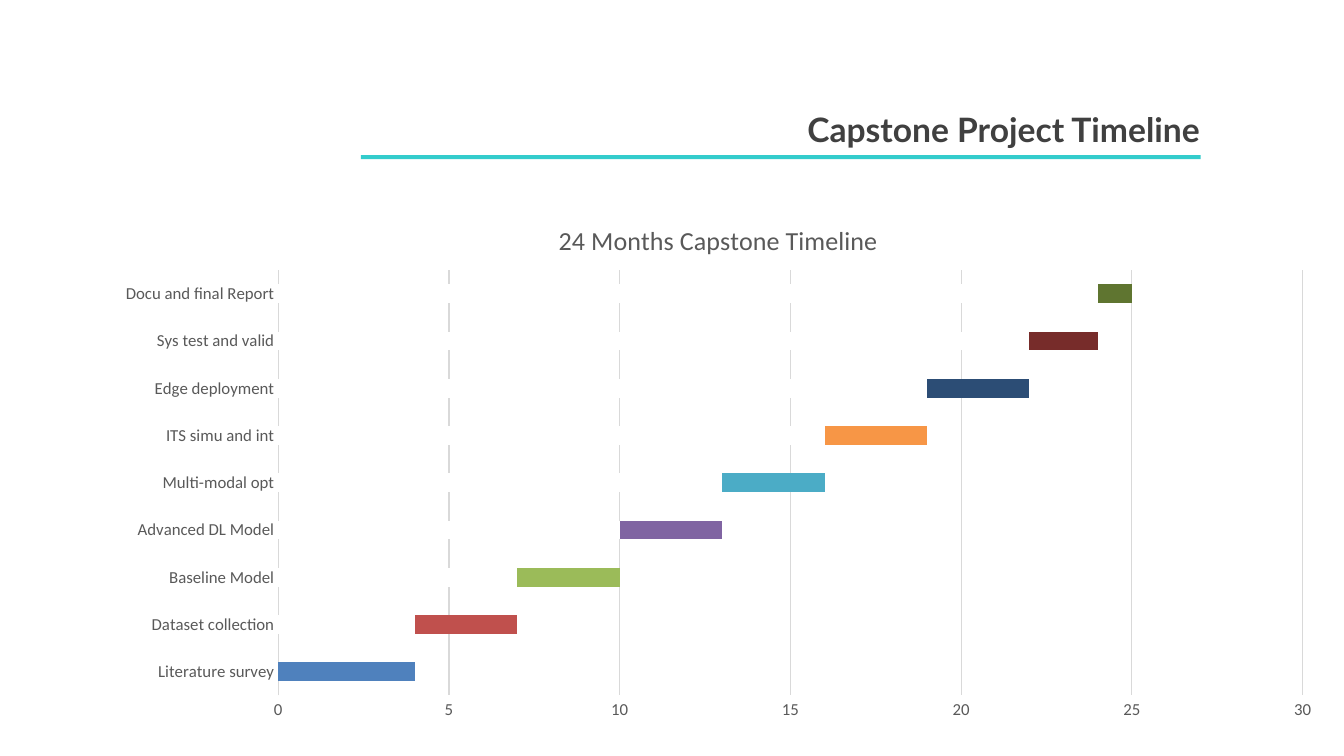
from lxml.etree import SubElement
from pptx import Presentation
from pptx.chart.data import CategoryChartData
from pptx.dml.color import RGBColor
from pptx.enum.chart import XL_CHART_TYPE, XL_TICK_MARK
from pptx.enum.shapes import MSO_SHAPE
from pptx.enum.text import MSO_ANCHOR, MSO_AUTO_SIZE, PP_ALIGN
from pptx.oxml.ns import qn
from pptx.util import Inches, Pt

WHITE = RGBColor(0xFF, 0xFF, 0xFF)
DARK = RGBColor(0x40, 0x40, 0x40)
GREY = RGBColor(0x59, 0x59, 0x59)
PALE = RGBColor(0xD9, 0xD9, 0xD9)
TEAL = RGBColor(0x33, 0xCC, 0xCC)
PLUM = RGBColor(0x4D, 0x3B, 0x62)

# Each task: name, length in months, bar colour
TASKS = [
    ("Literature survey", 4, RGBColor(0x4F, 0x81, 0xBD)),
    ("Dataset collection", 3, RGBColor(0xC0, 0x50, 0x4D)),
    ("Baseline Model", 3, RGBColor(0x9B, 0xBB, 0x59)),
    ("Advanced DL Model", 3, RGBColor(0x80, 0x64, 0xA2)),
    ("Multi-modal opt", 3, RGBColor(0x4B, 0xAC, 0xC6)),
    ("ITS simu and int", 3, RGBColor(0xF7, 0x96, 0x46)),
    ("Edge deployment", 3, RGBColor(0x2C, 0x4D, 0x75)),
    ("Sys test and valid", 2, RGBColor(0x77, 0x2C, 0x2A)),
    ("Docu and final Report", 1, RGBColor(0x5F, 0x75, 0x30)),
]


class Deck:
    head_font = "Lato"
    font = "Calibri"

    def __init__(self):
        self.file = Presentation()
        self.file.slide_width = Inches(13.33)
        self.file.slide_height = Inches(7.5)
        self.slide = self.file.slides.add_slide(self.file.slide_layouts[5])

    def style(self, font, name, size, color, bold=False):
        font.name, font.size, font.bold = name, Pt(size), bold
        font.color.rgb = color

    def title(self, text, x, y, w, h):
        box = self.slide.shapes.title
        box.left, box.top = Inches(x), Inches(y)
        box.width, box.height = Inches(w), Inches(h)
        frame = box.text_frame
        frame.auto_size = MSO_AUTO_SIZE.NONE
        frame.word_wrap = True
        frame.vertical_anchor = MSO_ANCHOR.MIDDLE
        line = frame.paragraphs[0]
        line.alignment = PP_ALIGN.RIGHT
        run = line.add_run()
        run.text = text
        self.style(run.font, self.head_font, 24, DARK, True)

    def bar(self, x, y, w, h, color):
        rule = self.slide.shapes.add_shape(
            MSO_SHAPE.RECTANGLE, Inches(x), Inches(y), Inches(w), Inches(h))
        rule.shadow.inherit = False
        rule.fill.solid()
        rule.fill.fore_color.rgb = color
        rule.line.fill.background()

    def gantt(self, text, tasks, x, y, w, h):
        # A task's length is stacked in its own row and in every later row
        count = len(tasks)
        data = CategoryChartData()
        data.categories = [name for name, _, _ in tasks]
        for i, (_, span, _) in enumerate(tasks):
            vals = [span if row >= i else 0 for row in range(count)]
            data.add_series(f"Series {i + 1}", vals)
        # The last series is a spare one without values
        data.add_series(f"Series {count + 1}", [None] * count)
        chart = self.slide.shapes.add_chart(
            XL_CHART_TYPE.BAR_STACKED, Inches(x), Inches(y),
            Inches(w), Inches(h), data).chart
        chart.has_legend = False
        self.style(chart.font, self.font, 12, GREY)

        # Chart title
        chart.has_title = True
        run = chart.chart_title.text_frame.paragraphs[0].add_run()
        run.text = text
        self.style(run.font, self.font, 18.6, GREY)
        chart.chart_title.include_in_layout = False

        # Bars: later rows are white, so only the task itself shows
        plot = chart.plots[0]
        plot.gap_width, plot.overlap = 150, 100
        plot.vary_by_categories = False
        hues = [hue for _, _, hue in tasks] + [PLUM]
        for i, (series, hue) in enumerate(zip(plot.series, hues)):
            series.format.fill.solid()
            series.format.fill.fore_color.rgb = hue
            series.invert_if_negative = False
            for row in range(i + 1, count):
                fill = series.points[row].format.fill
                fill.solid()
                fill.fore_color.rgb = WHITE

        # Axes
        for axis in (chart.category_axis, chart.value_axis):
            axis.major_tick_mark = axis.minor_tick_mark = XL_TICK_MARK.NONE
            self.style(axis.tick_labels.font, self.font, 12, GREY)
        rows, months = chart.category_axis, chart.value_axis
        rows.has_major_gridlines = False
        months.has_major_gridlines = True
        months.minimum_scale, months.maximum_scale = 0, 30
        months.major_unit = 5
        months.format.line.fill.background()
        for part in (rows, months.major_gridlines):
            part.format.line.color.rgb = PALE
            part.format.line.width = Pt(0.75)
        self.place(chart, 1.76 / w, 0.68 / h, 10.16 / w, 4.22 / h)

    def place(self, chart, x, y, w, h):
        # Inner plot area as shares of the chart
        area = chart._chartSpace.chart.plotArea
        for old in area.findall(qn("c:layout")):
            area.remove(old)
        outer = SubElement(area, qn("c:layout"))
        area.insert(0, outer)
        inner = SubElement(outer, qn("c:manualLayout"))
        pairs = [("layoutTarget", "inner"), ("xMode", "edge"),
                 ("yMode", "edge"), ("x", x), ("y", y), ("w", w), ("h", h)]
        for tag, val in pairs:
            SubElement(inner, qn(f"c:{tag}")).set("val", str(val))

    def save(self):
        self.file.save("out.pptx")


def main():
    deck = Deck()
    # Heading with its rule
    deck.bar(3.58, 1.54, 8.33, 0.04, TEAL)
    deck.title("Capstone Project Timeline", 3.5, 1.03, 8.5, 0.5)
    # Timeline
    deck.gantt("24 Months Capstone Timeline", TASKS, 1, 2, 12.25, 5.25)
    deck.save()


if __name__ == "__main__":
    main()
